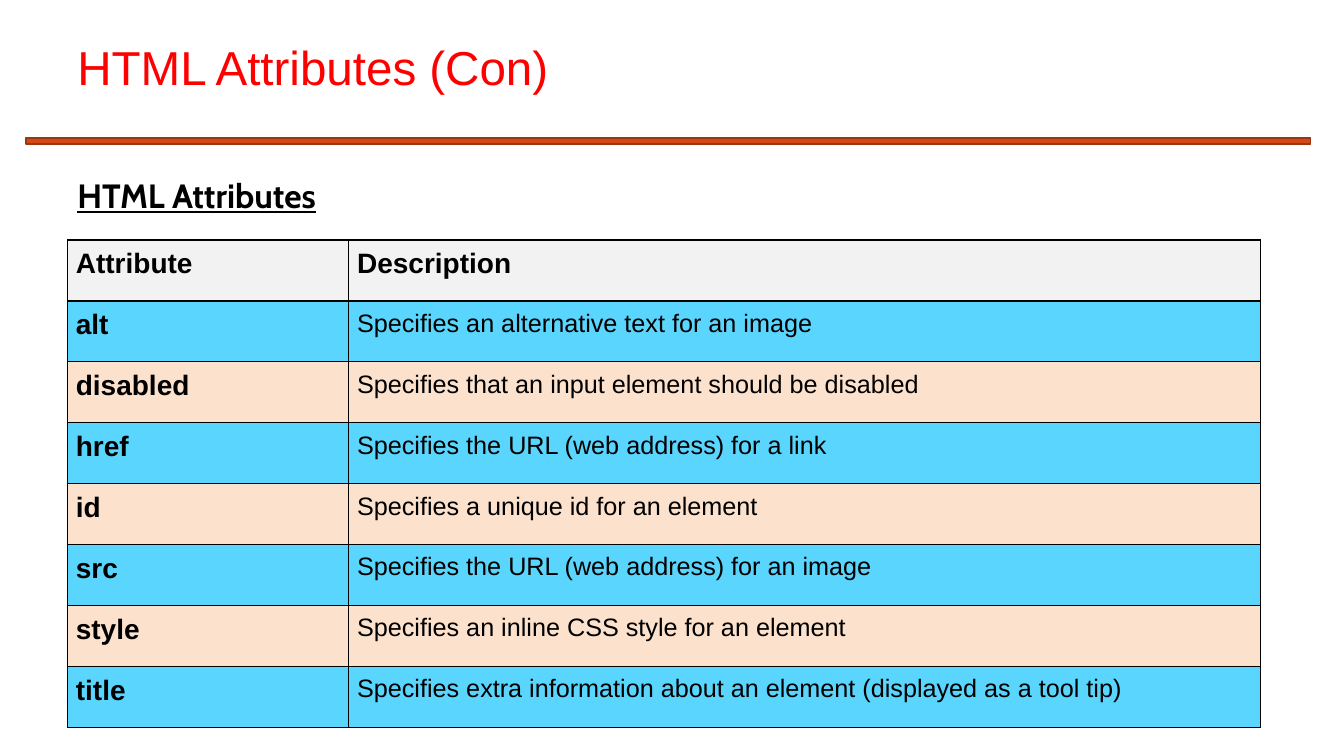
from lxml import etree
from pptx import Presentation
from pptx.dml.color import RGBColor
from pptx.enum.shapes import MSO_SHAPE as Shape
from pptx.enum.text import MSO_ANCHOR as Anchor
from pptx.oxml.ns import qn
from pptx.util import Pt

ROWS = [
    ("Attribute", "Description"),
    ("alt", "Specifies an alternative text for an image"),
    ("disabled", "Specifies that an input element should be disabled"),
    ("href", "Specifies the URL (web address) for a link"),
    ("id", "Specifies a unique id for an element"),
    ("src", "Specifies the URL (web address) for an image"),
    ("style", "Specifies an inline CSS style for an element"),
    ("title", "Specifies extra information about an element (displayed as a tool tip)"),
]
HEAD, BLUE, PEACH = "F2F2F2", "59D5FE", "FCE2CD"


def paint(fmt, color):
    fmt.solid()
    fmt.fore_color.rgb = RGBColor.from_string(color)


def write(frame, text, size, font="Arial", color="000000", bold=False, under=False):
    run = frame.paragraphs[0].add_run()
    run.text = text
    face = run.font
    face.name, face.size, face.bold, face.underline = font, Pt(size), bold, under
    paint(face.fill, color)


def place(box):
    return [Pt(v) for v in box]


def label(slide, box, text, size, anchor=Anchor.TOP, space=1.0, **style):
    frame = slide.shapes.add_textbox(*place(box)).text_frame
    frame.word_wrap = True
    frame.vertical_anchor = anchor
    frame.paragraphs[0].line_spacing = space
    write(frame, text, size, **style)


def header(slide, box):
    left, top, width, height = box
    label(slide, (left + 29.5, top, 865.5, 80), "HTML Attributes (Con)", 34,
          Anchor.MIDDLE, 0.9, color="FF0000")
    bar = slide.shapes.add_shape(
        Shape.RECTANGLE, *place((left, top + height - 4.3, width, 4.3)))
    bar.shadow.inherit = False
    paint(bar.fill, "D34817")
    paint(bar.line.fill, "9C3511")
    bar.line.width = Pt(1)


def border(cell):
    props = cell._tc.get_or_add_tcPr()
    for spot, side in enumerate(("lnL", "lnR", "lnT", "lnB")):
        line = etree.Element(qn("a:" + side), w=str(Pt(1)))
        fill = etree.SubElement(line, qn("a:solidFill"))
        etree.SubElement(fill, qn("a:srgbClr"), val="000000")
        props.insert(spot, line)


def grid(slide, box):
    table = slide.shapes.add_table(len(ROWS), 2, *place(box)).table
    width, height = box[2:]
    first = 200.9
    for col, size in zip(table.columns, (first, width - first)):
        col.width = Pt(size)
    for r, texts in enumerate(ROWS):
        table.rows[r].height = Pt(height / len(ROWS))
        tint = HEAD if r == 0 else BLUE if r % 2 else PEACH
        for c, text in enumerate(texts):
            cell = table.cell(r, c)
            cell.margin_left = cell.margin_right = Pt(6)
            cell.margin_top = cell.margin_bottom = Pt(6)
            paint(cell.fill, tint)
            border(cell)
            bold = r == 0 or c == 0
            write(cell.text_frame, text, 20 if bold else 18, bold=bold)


def body(slide, box):
    left, top, width, height = box
    label(slide, (left, top, 204.5, 36), "HTML Attributes", 24,
          font="Cabin", bold=True, under=True)
    grid(slide, (left, top + 49.7, width, height - 49.7))


def main():
    deck = Presentation()
    deck.slide_width, deck.slide_height = Pt(960), Pt(540)
    slide = deck.slides.add_slide(deck.slide_layouts[6])
    header(slide, (18.7, 10, 917.3, 93))
    body(slide, (48.2, 121.7, 852.2, 398.2))
    deck.save("out.pptx")


if __name__ == "__main__":
    main()
